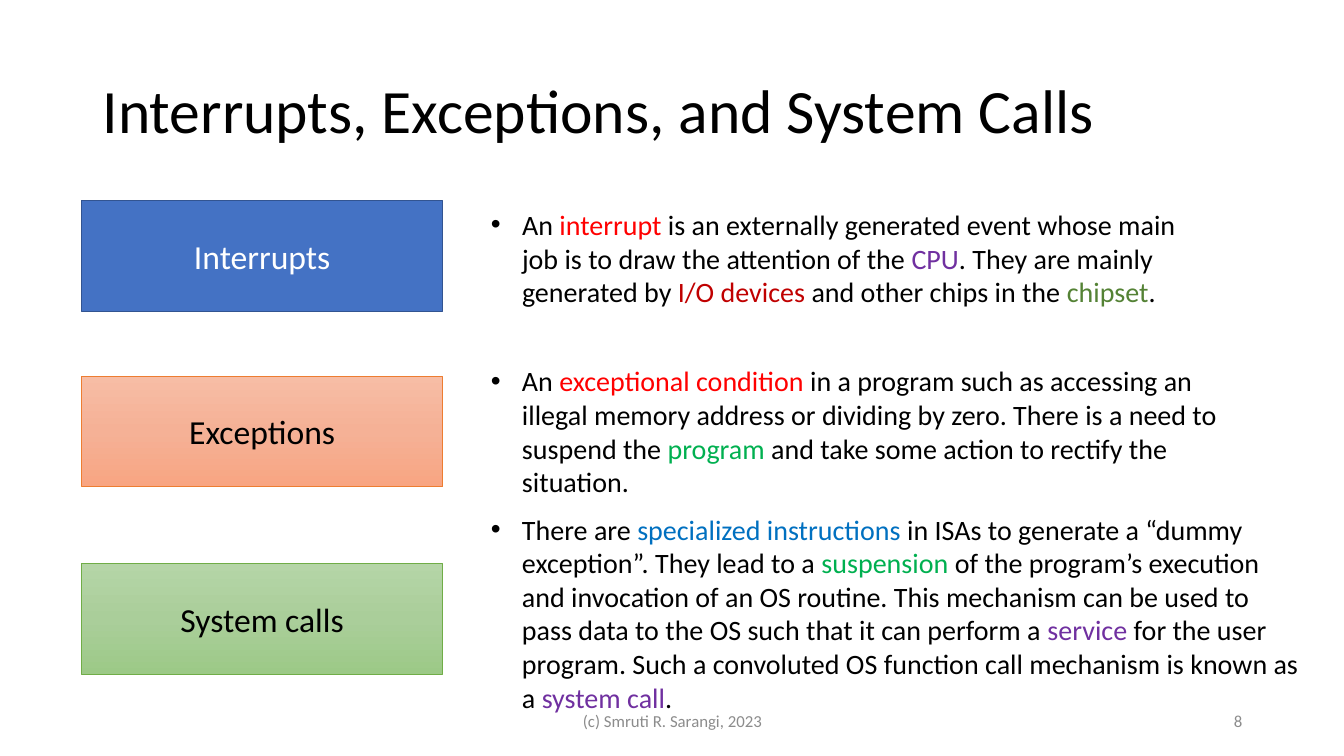
"""Slide that defines interrupts, exceptions and system calls."""
from copy import deepcopy

from lxml import etree
from pptx import Presentation
from pptx.dml.color import RGBColor
from pptx.enum.shapes import MSO_SHAPE
from pptx.enum.text import MSO_ANCHOR, MSO_AUTO_SIZE, PP_ALIGN
from pptx.oxml.ns import qn
from pptx.util import Inches, Pt

RECTANGLE = MSO_SHAPE.RECTANGLE
LEFT, CENTER, RIGHT = PP_ALIGN.LEFT, PP_ALIGN.CENTER, PP_ALIGN.RIGHT
TOP, MIDDLE = MSO_ANCHOR.TOP, MSO_ANCHOR.MIDDLE
FIT_SHAPE = MSO_AUTO_SIZE.SHAPE_TO_FIT_TEXT

BLACK, WHITE, GRAY = "000000", "FFFFFF", "8C8C8C"
RED, DARK_RED, PURPLE = "FF0000", "C00000", "7030A0"
GREEN, OLIVE, BLUE = "00B050", "548235", "0070C0"

deck = Presentation()
deck.slide_width, deck.slide_height = Inches(13.33), Inches(7.5)
slide = deck.slides.add_slide(deck.slide_layouts[6])


def rgb(code):
    """Turn a hex string into a colour."""
    return RGBColor.from_string(code)


def write(text, frame, size, color=BLACK, align=LEFT, anchor=MIDDLE,
          boxed=False, bullet=False, spacing=1.0):
    """Write (text, colour) runs or a plain string in a frame given in percent of the slide."""
    sides = (deck.slide_width, deck.slide_height) * 2
    place = [round(side * share / 100) for side, share in zip(sides, frame)]
    if boxed:
        shape = slide.shapes.add_shape(RECTANGLE, *place)
        shape.shadow.inherit = False
    else:
        shape = slide.shapes.add_textbox(*place)
    body = shape.text_frame
    body.word_wrap = not bullet
    body.vertical_anchor = anchor
    paragraph = body.paragraphs[0]
    paragraph.alignment = align
    paragraph.line_spacing = spacing
    if bullet:
        body.auto_size = FIT_SHAPE
        properties = paragraph._p.get_or_add_pPr()
        properties.set("marL", str(Inches(0.31)))
        properties.set("indent", str(-Inches(0.31)))
        etree.SubElement(properties, qn("a:buFont")).set("typeface", "Arial")
        etree.SubElement(properties, qn("a:buChar")).set("char", "•")
    paragraph.font.size = Pt(size)
    for words, shade in [(text, color)] if isinstance(text, str) else text:
        for number, line in enumerate(words.split("\n")):
            if number:
                paragraph.add_line_break()
            run = paragraph.add_run()
            run.text = line
            run.font.name, run.font.size = "Calibri", Pt(size)
            run.font.color.rgb = rgb(shade)
    return shape


write("Interrupts, Exceptions, and System Calls", (6.9, 5.33, 86.27, 19.33), 44, spacing=0.9)

interrupt_definition = [
    ("An ", BLACK), ("interrupt", RED),
    (" is an externally generated event whose main\n"
     "job is to draw the attention of the ", BLACK),
    ("CPU", PURPLE), (". They are mainly\ngenerated by ", BLACK),
    ("I/O devices ", DARK_RED), ("and other chips in the ", BLACK),
    ("chipset", OLIVE), (".", BLACK)]
exception_definition = [
    ("An ", BLACK), ("exceptional condition ", RED),
    ("in a program such as accessing an \n"
     "illegal memory address or dividing by zero. There is a need to \n"
     "suspend the ", BLACK),
    ("program", GREEN), (" and take some action to rectify the \nsituation.", BLACK)]
system_call_definition = [
    ("There are ", BLACK), ("specialized instructions ", BLUE),
    ("in ISAs to generate a “dummy\nexception”. They lead to a ", BLACK),
    ("suspension", GREEN),
    (" of the program’s execution\n"
     "and invocation of an OS routine. This mechanism can be used to \n"
     "pass data to the OS such that it can perform a ", BLACK),
    ("service", PURPLE),
    (" for the user\n"
     "program. Such a convoluted OS function call mechanism is known as\na ", BLACK),
    ("system call", PURPLE), (".", BLACK)]

topics = [
    ("Interrupts", 26.53, WHITE, ["4472C4"], "325491", 1,
     interrupt_definition, (35.78, 26.8, 52.96, 14.8)),
    ("Exceptions", 49.73, BLACK, ["F7BDA5", "F5B196", "F8A582"], "ED7D31", 0.5,
     exception_definition, (35.78, 47.47, 56.49, 19.33)),
    ("System calls", 74.53, BLACK, ["B5D5A7", "AACE9A", "9CC987"], "70AD47", 0.5,
     system_call_definition, (35.78, 67.07, 62.19, 28.27)),
]
for name, top, ink, shades, edge, edge_width, definition, frame in topics:
    label = write(name, (6.08, top, 26.86, 14.67), 24, color=ink, align=CENTER, boxed=True)
    label.line.color.rgb = rgb(edge)
    label.line.width = Pt(edge_width)
    if len(shades) == 1:
        label.fill.solid()
        label.fill.fore_color.rgb = rgb(shades[0])
    else:
        label.fill.gradient()
        label.fill.gradient_angle = 270
        stops = label._element.spPr.find(".//" + qn("a:gsLst"))
        stops.insert(1, deepcopy(stops[0]))
        for number, (stop, shade) in enumerate(zip(label.fill.gradient_stops, shades)):
            stop.position = number / 2
            stop.color.rgb = rgb(shade)
    write(definition, frame, 20, anchor=TOP, bullet=True)

write("8", (70.67, 92.67, 22.5, 5.33), 12, color=GRAY, align=RIGHT)
write("(c) Smruti R. Sarangi, 2023", (33.16, 92.67, 33.76, 5.33), 12, color=GRAY, align=CENTER)

deck.save("out.pptx")
